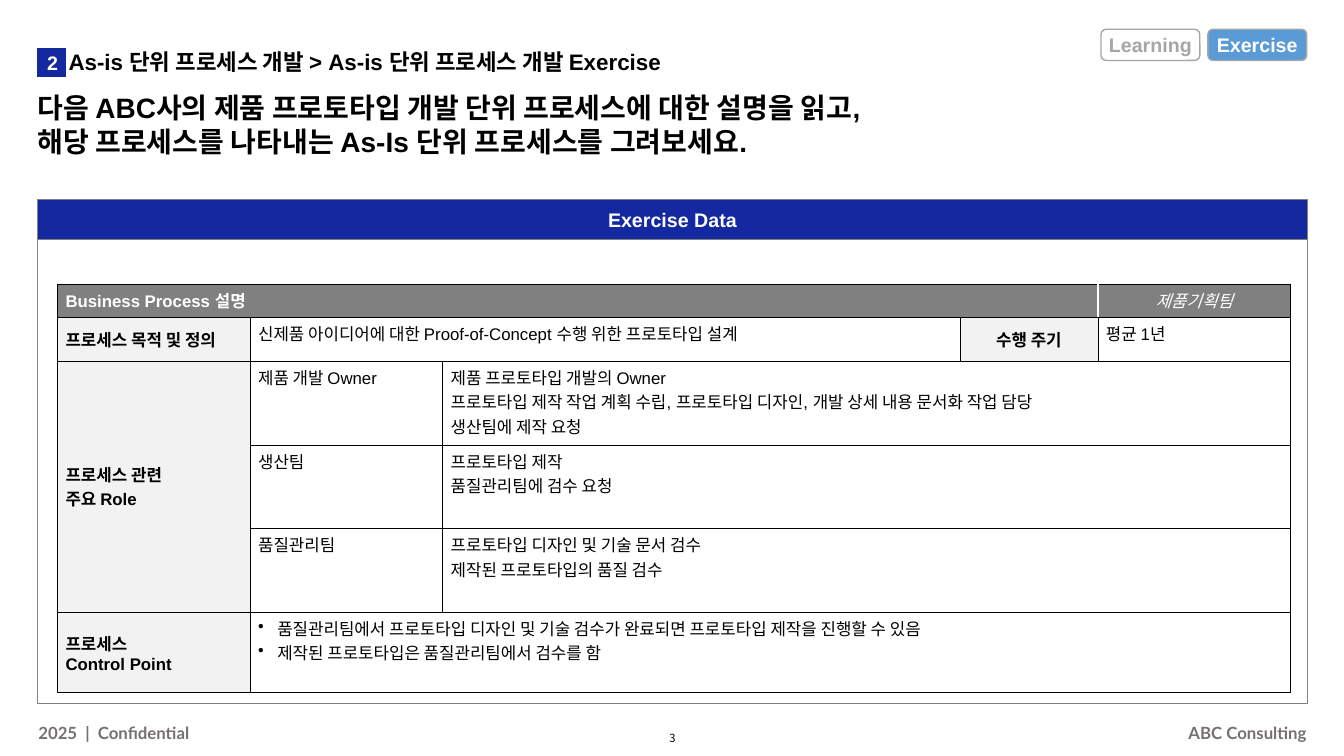
"""Build the As-Is process exercise slide with its business process table."""
from dataclasses import dataclass

import pptx
import pptx.dml.color
import pptx.enum.shapes
import pptx.enum.text
import pptx.oxml.ns
import pptx.util
from lxml import etree

Inches = pptx.util.Inches
Pt = pptx.util.Pt
ALIGN = pptx.enum.text.PP_ALIGN
ANCHOR = pptx.enum.text.MSO_ANCHOR
SHAPE = pptx.enum.shapes.MSO_SHAPE
qn = pptx.oxml.ns.qn

COLORS = {
    "white": "FFFFFF", "black": "000000", "navy": "1428A0", "sky": "5B9BD5",
    "gray": "808080", "silver": "A6A6A6", "pale": "F2F2F2", "footer": "767171",
}
KOREAN = "Noto Sans CJK KR"
COLS = (1.91, 1.91, 5.13, 1.37, 1.91)
ROWS = (0.3, 0.44, 0.83, 0.83, 0.83, 0.8)


@dataclass(frozen=True)
class Style:
    size: float = 12
    color: str = "black"
    bold: bool = False
    italic: bool = False
    font: str = "Arial"
    align: ALIGN = ALIGN.LEFT
    anchor: ANCHOR = ANCHOR.TOP
    spacing: float = 1.0
    before: float = 0
    after: float = 0
    indent: float = 0
    bullet: bool = False


@dataclass(frozen=True)
class Box:
    left: float
    top: float
    width: float
    height: float
    text: str
    style: Style
    fill: str = ""
    line: str = ""
    line_width: float = 1
    kind: SHAPE = SHAPE.RECTANGLE
    insets: tuple[float, float] = (0.1, 0.1)


@dataclass(frozen=True)
class Cell:
    row: int
    col: int
    text: str
    style: Style
    fill: str = "white"
    rows: int = 1
    cols: int = 1


BODY = Style()
LABEL = Style(bold=True, anchor=ANCHOR.MIDDLE)
CENTER_LABEL = Style(bold=True, anchor=ANCHOR.MIDDLE, align=ALIGN.CENTER)
HEAD = Style(color="white", bold=True, anchor=ANCHOR.MIDDLE)
TEAM = Style(color="white", italic=True, anchor=ANCHOR.MIDDLE, align=ALIGN.CENTER)
BULLETS = Style(indent=0.19, bullet=True)
BANNER = Style(14, "white", True, align=ALIGN.CENTER, anchor=ANCHOR.MIDDLE)
TAG_OFF = Style(14, "silver", True, align=ALIGN.CENTER, anchor=ANCHOR.MIDDLE)
TITLE = Style(20, bold=True, before=3, after=2)
CRUMB = Style(16, bold=True, spacing=0.9, indent=0.31)
FOOT_LEFT = Style(12, "footer", True, font="Lato", anchor=ANCHOR.MIDDLE, spacing=1.05)
FOOT_RIGHT = Style(12, "footer", True, font="Lato", align=ALIGN.RIGHT,
                   anchor=ANCHOR.MIDDLE, spacing=1.05)
PAGE = Style(8, font=KOREAN, align=ALIGN.CENTER, anchor=ANCHOR.MIDDLE)

TITLE_BOX = Box(0.37, 0.85, 12.6, 0.53,
                "다음 ABC사의 제품 프로토타입 개발 단위 프로세스에 대한 설명을 읽고, \v"
                "해당 프로세스를 나타내는 As-Is 단위 프로세스를 그려보세요.", TITLE, insets=(0, 0.1))
TEXTS = (
    Box(0.37, 0.46, 11.5, 0.34, "As-is 단위 프로세스 개발 > As-is 단위 프로세스 개발 Exercise",
        CRUMB, insets=(0, 0.1)),
    Box(0.38, 7.14, 3.05, 0.24, "2025  |  Confidential", FOOT_LEFT, insets=(0, 0)),
    Box(9.91, 7.14, 3.05, 0.24, "ABC Consulting", FOOT_RIGHT, insets=(0, 0)),
    Box(6.55, 7.22, 0.24, 0.2, "3", PAGE, insets=(0, 0)),
)
SHAPES = (
    Box(0.37, 1.98, 12.6, 0.39, "Exercise Data", BANNER, "navy", "gray", 0.5),
    Box(0.37, 2.37, 12.6, 4.61, "", BODY, "", "gray", 0.5),
    Box(10.92, 0.29, 0.98, 0.31, "Learning", TAG_OFF, "white", "silver",
        kind=SHAPE.ROUNDED_RECTANGLE, insets=(0.04, 0.04)),
    Box(11.98, 0.29, 0.98, 0.31, "Exercise", BANNER, "sky", "silver",
        kind=SHAPE.ROUNDED_RECTANGLE, insets=(0.04, 0.04)),
    Box(0.37, 0.48, 0.28, 0.28, "2", BANNER, "navy", "navy"),
)
CELLS = (
    Cell(0, 0, "Business Process 설명", HEAD, "gray", cols=4),
    Cell(0, 4, "제품기획팀", TEAM, "gray"),
    Cell(1, 0, "프로세스 목적 및 정의", LABEL, "pale"),
    Cell(1, 1, "신제품 아이디어에 대한 Proof-of-Concept 수행 위한 프로토타입 설계", BODY, cols=2),
    Cell(1, 3, "수행 주기", CENTER_LABEL, "pale"),
    Cell(1, 4, "평균 1년", BODY),
    Cell(2, 0, "프로세스 관련\n주요 Role", LABEL, "pale", rows=3),
    Cell(2, 1, "제품 개발 Owner", BODY),
    Cell(2, 2, "제품 프로토타입 개발의 Owner\n"
         "프로토타입 제작 작업 계획 수립, 프로토타입 디자인, 개발 상세 내용 문서화 작업 담당\n"
         "생산팀에 제작 요청", BODY, cols=3),
    Cell(3, 1, "생산팀", BODY),
    Cell(3, 2, "프로토타입 제작\n품질관리팀에 검수 요청", BODY, cols=3),
    Cell(4, 1, "품질관리팀", BODY),
    Cell(4, 2, "프로토타입 디자인 및 기술 문서 검수\n제작된 프로토타입의 품질 검수", BODY, cols=3),
    Cell(5, 0, "프로세스\nControl Point", LABEL, "pale"),
    Cell(5, 1, "품질관리팀에서 프로토타입 디자인 및 기술 검수가 완료되면 프로토타입 제작을 진행할 수 있음\n"
         "제작된 프로토타입은 품질관리팀에서 검수를 함", BULLETS, cols=4),
)


def rgb(name: str) -> pptx.dml.color.RGBColor:
    return pptx.dml.color.RGBColor.from_string(COLORS[name])


def write(tf: pptx.text.text.TextFrame, text: str, style: Style) -> None:
    tf.text = text
    for p in tf.paragraphs:
        p.alignment, p.line_spacing = style.align, style.spacing
        p.space_before, p.space_after = Pt(style.before), Pt(style.after)
        pPr = p._p.get_or_add_pPr()
        pPr.set("marL", str(Inches(style.indent)))
        if style.bullet:
            pPr.set("indent", str(-Inches(style.indent)))
            etree.SubElement(pPr, qn("a:buChar"), char="•")
        for r in p.runs:
            r.font.name, r.font.size = style.font, Pt(style.size)
            r.font.bold, r.font.italic = style.bold, style.italic
            r.font.color.rgb = rgb(style.color)
            latin = r._r.rPr.find(qn("a:latin"))
            latin.addnext(etree.Element(qn("a:ea"), typeface=KOREAN))


def fill_frame(sp: pptx.shapes.autoshape.Shape, box: Box, wrap: bool = True) -> None:
    tf = sp.text_frame
    write(tf, box.text, box.style)
    tf.word_wrap = wrap
    tf.auto_size = pptx.enum.text.MSO_AUTO_SIZE.NONE
    tf.vertical_anchor = box.style.anchor
    tf.margin_left, tf.margin_right = (Inches(n) for n in box.insets)
    tf.margin_top = tf.margin_bottom = Inches(0 if box.style is PAGE else 0.05)


def place(box: Box) -> tuple[int, ...]:
    return tuple(Inches(n) for n in (box.left, box.top, box.width, box.height))


def add_box(s: pptx.slide.Slide, box: Box) -> None:
    sp = s.shapes.add_shape(box.kind, *place(box))
    sp.shadow.inherit = False
    if box.fill:
        sp.fill.solid()
        sp.fill.fore_color.rgb = rgb(box.fill)
    else:
        sp.fill.background()
    sp.line.color.rgb, sp.line.width = rgb(box.line), Pt(box.line_width)
    if box.text:
        fill_frame(sp, box)


def set_borders(cell: pptx.table._Cell, white_side: str) -> None:
    tcPr = cell._tc.get_or_add_tcPr()
    for i, side in enumerate(("lnL", "lnR", "lnT", "lnB")):
        color, width = ("white", 1) if side == white_side else ("black", 0.25)
        ln = etree.Element(qn(f"a:{side}"), w=str(Pt(width)))
        solid = etree.SubElement(ln, qn("a:solidFill"))
        etree.SubElement(solid, qn("a:srgbClr"), val=COLORS[color])
        tcPr.insert(i, ln)


def add_process_table(s: pptx.slide.Slide) -> None:
    tbl = s.shapes.add_table(len(ROWS), len(COLS), Inches(0.57), Inches(2.82),
                             Inches(sum(COLS)), Inches(sum(ROWS))).table
    tbl.first_row = tbl.horz_banding = False
    for col, width in zip(tbl.columns, COLS):
        col.width = Inches(width)
    for row, height in zip(tbl.rows, ROWS):
        row.height = Inches(height)
    for c in CELLS:
        cell = tbl.cell(c.row, c.col)
        if c.rows * c.cols > 1:
            cell.merge(tbl.cell(c.row + c.rows - 1, c.col + c.cols - 1))
        write(cell.text_frame, c.text, c.style)
        cell.vertical_anchor = c.style.anchor
        cell.margin_left = cell.margin_right = Inches(0.08)
        cell.margin_top = cell.margin_bottom = Inches(0.04)
        white_side = ("lnL" if c.col == 4 else "lnR") if c.row == 0 else ""
        for row in range(c.row, c.row + c.rows):
            for col in range(c.col, c.col + c.cols):
                part = tbl.cell(row, col)
                part.fill.solid()
                part.fill.fore_color.rgb = rgb(c.fill)
                set_borders(part, white_side)


def main() -> None:
    prs = pptx.Presentation()
    prs.slide_width, prs.slide_height = Inches(13.33), Inches(7.5)
    s = prs.slides.add_slide(prs.slide_layouts[5])
    title = s.shapes.title
    title.left, title.top, title.width, title.height = place(TITLE_BOX)
    fill_frame(title, TITLE_BOX)
    for box in SHAPES:
        add_box(s, box)
    for box in TEXTS:
        fill_frame(s.shapes.add_textbox(*place(box)), box)
    add_process_table(s)
    prs.save("out.pptx")


if __name__ == "__main__":
    main()
